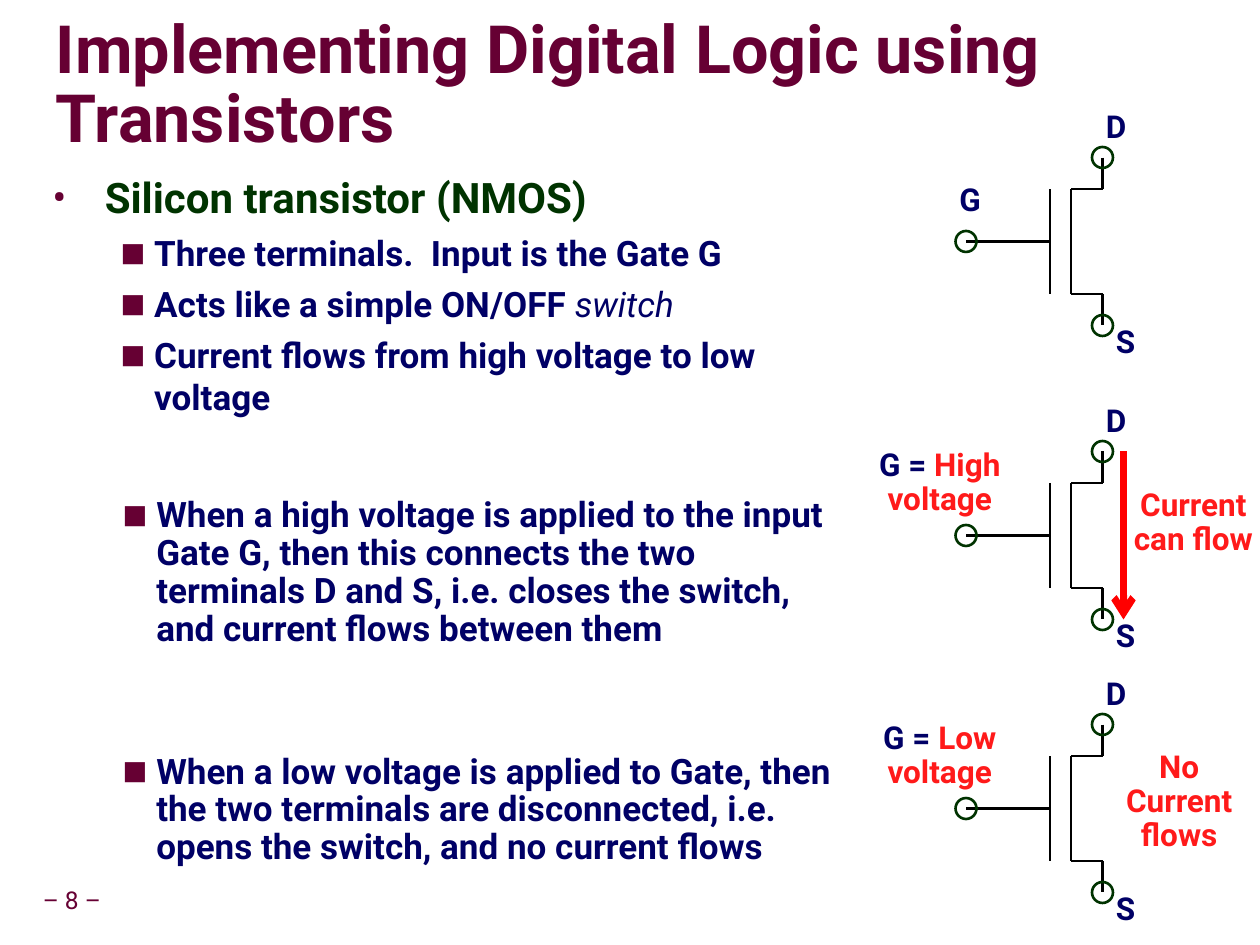
import pptx
import pptx.util
import pptx.dml.color
import pptx.enum.shapes
import pptx.enum.text
import pptx.oxml
import pptx.oxml.ns

PX = 7620  # EMU per px: 120 px to the inch
FONT = "Roboto"
COLORS = {"maroon": "660033", "green": "003300", "navy": "000066",
          "red": "FF1A1A", "arrow": "FF0000", "black": "000000",
          "shadow": "808080"}
ALIGN = pptx.enum.text.PP_ALIGN
ANCHOR = pptx.enum.text.MSO_ANCHOR
NAVY_BULLET = {"mark": "■", "size": 75, "left": 97, "hang": 32}
GREEN_BULLET = {"mark": "•", "size": 100, "left": 50, "hang": 50}


def px(value):
    return pptx.util.Emu(value * PX)


def rgb(name):
    return pptx.dml.color.RGBColor.from_string(COLORS[name])


def set_all(target, values):
    for name, value in values.items():
        setattr(target, name, value)


def add_xml(parent, tag, **attributes):
    child = pptx.oxml.parse_xml(f"<a:{tag} {pptx.oxml.ns.nsdecls('a')}/>")
    for name, value in attributes.items():
        child.set(name, str(value))
    parent.append(child)
    return child


def add_text_box(shapes, area, insets=(12, 6, 12, 6), **frame_format):
    box = shapes.add_textbox(*map(px, area))
    sides = ("margin_left", "margin_top", "margin_right", "margin_bottom")
    set_all(box.text_frame, dict(zip(sides, map(px, insets))))
    set_all(box.text_frame, {"word_wrap": True, **frame_format})
    return box


def add_paragraph(box, spans, size, bullet=None, **para_format):
    """Spans are (text, colour name) with optional font values."""
    frame = box.text_frame
    para = frame.paragraphs[0] if not frame.text else frame.add_paragraph()
    set_all(para, para_format)
    if bullet:
        add_bullet(para, bullet)
    for text, color, *extra in spans:
        span = para.add_run()
        span.text = text
        set_all(span.font, {"name": FONT, "size": pptx.util.Pt(size), "bold": True})
        span.font.color.rgb = rgb(color)
        for values in extra:
            set_all(span.font, values)
    return para


def add_bullet(para, bullet):
    props = para._p.get_or_add_pPr()
    props.set("marL", str(px(bullet["left"])))
    props.set("indent", str(-px(bullet["hang"])))
    add_xml(add_xml(props, "buClr"), "srgbClr", val=COLORS["maroon"])
    add_xml(props, "buSzPct", val=bullet["size"] * 1000)
    add_xml(props, "buFont", typeface=FONT)
    add_xml(props, "buChar", char=bullet["mark"])


def add_label(shapes, area, *lines):
    box = add_text_box(shapes, area, word_wrap=False,
                       auto_size=pptx.enum.text.MSO_AUTO_SIZE.SHAPE_TO_FIT_TEXT)
    for spans in lines:
        add_paragraph(box, spans, 18, alignment=ALIGN.CENTER, line_spacing=0.9)


def add_line(shapes, start, end, color="black", width=1.5):
    line = shapes.add_connector(pptx.enum.shapes.MSO_CONNECTOR.STRAIGHT,
                                *map(px, start + end))
    line.line.color.rgb = rgb(color)
    line.line.width = pptx.util.Pt(width)
    add_xml(line._element.spPr, "effectLst")
    return line


def add_terminal(shapes, x, y):
    circle = shapes.add_shape(pptx.enum.shapes.MSO_SHAPE.OVAL,
                              *map(px, (x - 10, y - 10, 20, 20)))
    circle.shadow.inherit = False
    circle.fill.background()
    circle.line.color.rgb = rgb("green")
    circle.line.width = pptx.util.Pt(1.5)


def add_transistor(page, top):
    """Draw one transistor whose D terminal is centred at height top."""
    shapes = page.shapes.add_group_shape().shapes
    gate, channel, lead = 1000, 1020, 1050
    upper, middle, lower, bottom = top + 30, top + 80, top + 130, top + 160
    for start, end in (
            ((gate, upper), (gate, lower)),
            ((gate, middle), (920, middle)),
            ((channel, upper), (channel, lower)),
            ((lead, upper), (channel, upper)),
            ((lead, lower), (lead, bottom)),
            ((lead, lower), (channel, lower)),
            ((lead, top), (lead, upper))):
        add_line(shapes, start, end)
    for x, y in ((920, middle), (lead, bottom), (lead, top)):
        add_terminal(shapes, x, y)
    add_label(shapes, (1040, top - 50, 46, 46), [("D", "navy")])
    add_label(shapes, (1049, top + 155, 46, 46), [("S", "navy")])
    return shapes


def add_title(page):
    box = add_text_box(page.shapes, (53, 32, 1144, 102), (0, 0, 0, 0),
                       vertical_anchor=ANCHOR.MIDDLE)
    para = add_paragraph(box, [("Implementing Digital Logic using Transistors",
                                "maroon")], 38, line_spacing=0.87)
    # The shadow sits between the fill and the font in the run properties
    props = para.runs[0].font._element
    effects = add_xml(props, "effectLst")
    shadow = add_xml(effects, "outerShdw", blurRad=38100, dist=38100, dir=2700000)
    add_xml(shadow, "srgbClr", val=COLORS["shadow"])
    props.find(pptx.oxml.ns.qn("a:solidFill")).addnext(effects)


def add_body(page):
    box = add_text_box(page.shapes, (38, 161, 772, 400))
    add_paragraph(box, [("Silicon transistor (NMOS)", "green")], 24,
                  GREEN_BULLET, line_spacing=0.95)
    for spans in (
            [("Three terminals.  Input is the Gate G", "navy")],
            [("Acts like a simple ON/OFF ", "navy"),
             ("switch", "navy", {"bold": False, "italic": True})],
            [("Current flows from high voltage to low voltage", "navy")]):
        add_paragraph(box, spans, 20, NAVY_BULLET, level=1,
                      space_before=pptx.util.Pt(5))


def add_explanation(shapes, top, inset, text):
    box = add_text_box(shapes, (40, top, 772, 200), (12, inset, 12, 6))
    add_paragraph(box, [(text, "navy")], 20, NAVY_BULLET, level=1,
                  line_spacing=0.9)


def main():
    deck = pptx.Presentation()
    set_all(deck, {"slide_width": px(1200), "slide_height": px(900)})
    page = deck.slides.add_slide(deck.slide_layouts[6])

    # Page number, heading and main points
    number = add_text_box(page.shapes, (29, 840, 79, 37), (6, 6, 6, 6),
                          word_wrap=False, vertical_anchor=ANCHOR.MIDDLE)
    add_paragraph(number, [("– 8 –", "maroon", {"bold": False})], 14,
                  alignment=ALIGN.CENTER, line_spacing=0.9)
    add_title(page)
    add_body(page)

    # Plain transistor
    plain = add_transistor(page, 150)
    add_label(plain, (900, 170, 48, 46), [("G", "navy")])

    # Closed switch
    closed = add_transistor(page, 430)
    add_label(closed, (820, 422, 150, 78),
              [("G = ", "navy"), ("High", "red")], [("voltage", "red")])
    arrow = add_line(closed, (1070, 430), (1070, 590), "arrow", 4)
    add_xml(arrow.line._get_or_add_ln(), "tailEnd", type="arrow")
    add_label(closed, (1064, 460, 145, 78),
              [("Current", "red")], [("can flow", "red")])
    add_explanation(closed, 420, 54,
                    "When a high voltage is applied to the input Gate G, then this "
                    "connects the two terminals D and S, i.e. closes the switch, "
                    "and current flows between them")

    # Open switch
    opened = add_transistor(page, 690)
    add_label(opened, (823, 682, 144, 78),
              [("G = ", "navy"), ("Low", "red")], [("voltage", "red")])
    add_label(opened, (1055, 710, 136, 110),
              [("No", "red")], [("Current", "red")], [("flows", "red")])
    add_explanation(opened, 620, 98,
                    "When a low voltage is applied to Gate, then the two terminals "
                    "are disconnected, i.e. opens the switch, and no current flows")

    deck.save("out.pptx")


if __name__ == "__main__":
    main()
